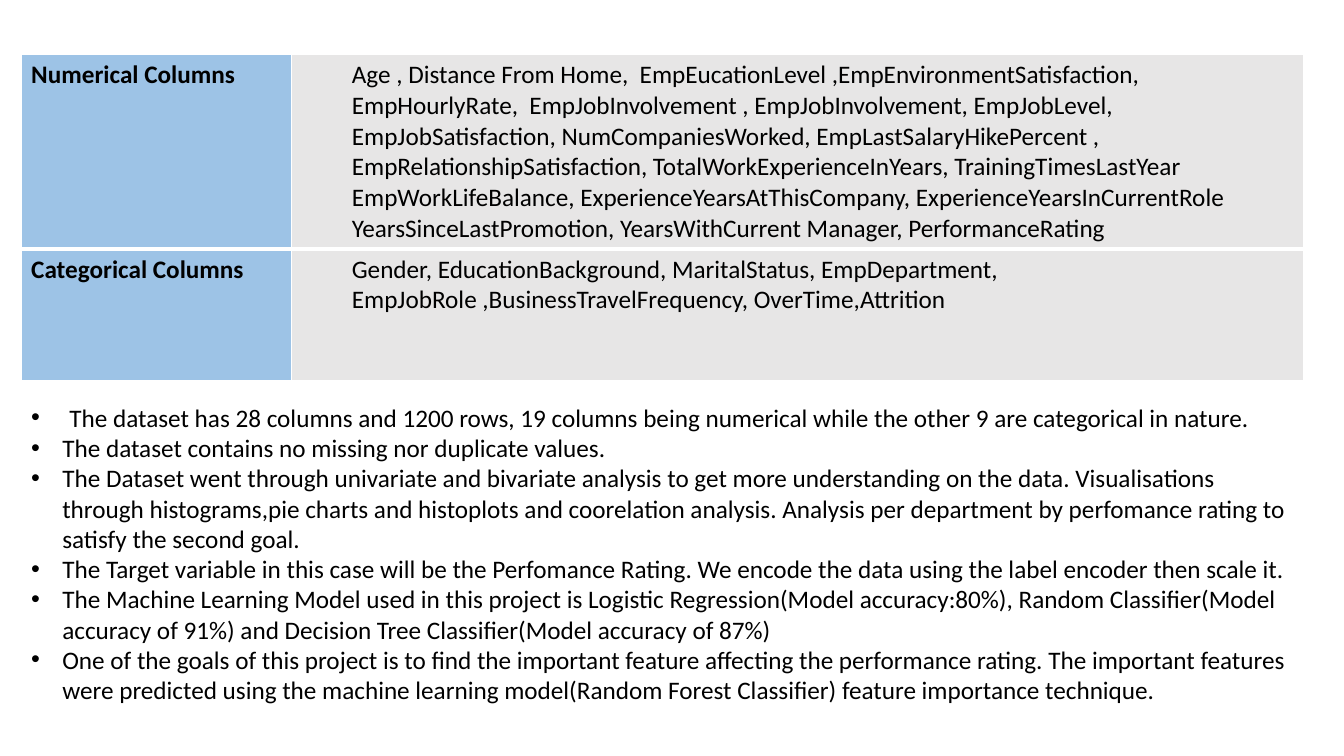
"""Build a slide that lists the dataset columns and summarises the analysis."""
from lxml.etree import SubElement
from pptx import Presentation
from pptx.dml.color import RGBColor
from pptx.oxml.ns import qn
from pptx.util import Inches, Pt

WIDTH, HEIGHT = 13.33, 7.5
LEFT, CONTENT_WIDTH = 0.21, 12.72
COLUMN_WIDTHS = [2.68, 10.04]
ROW_HEIGHTS = [1.9, 1.3]
COLUMN_FILLS = ["9DC3E6", "E7E6E6"]

COLUMN_GROUPS = [
    ("Numerical Columns", [
        "Age , Distance From Home,  EmpEucationLevel ,EmpEnvironmentSatisfaction,",
        "EmpHourlyRate,  EmpJobInvolvement , EmpJobInvolvement, EmpJobLevel,",
        "EmpJobSatisfaction, NumCompaniesWorked, EmpLastSalaryHikePercent , "
        "EmpRelationshipSatisfaction, TotalWorkExperienceInYears, TrainingTimesLastYear",
        "EmpWorkLifeBalance, ExperienceYearsAtThisCompany, ExperienceYearsInCurrentRole",
        "YearsSinceLastPromotion, YearsWithCurrent Manager, PerformanceRating",
    ]),
    ("Categorical Columns", [
        "Gender, EducationBackground, MaritalStatus, EmpDepartment, "
        "EmpJobRole ,BusinessTravelFrequency, OverTime,Attrition",
    ]),
]
FINDINGS = [
    "The dataset has 28 columns and 1200 rows, 19 columns being numerical while "
    "the other 9 are categorical in nature.",
    "The dataset contains no missing nor duplicate values.",
    "The Dataset went through univariate and bivariate analysis to get more "
    "understanding on the data. Visualisations through histograms,pie charts and "
    "histoplots and coorelation analysis. Analysis per department by perfomance "
    "rating to satisfy the second goal.",
    "The Target variable in this case will be the Perfomance Rating. We encode "
    "the data using the label encoder then scale it.",
    "The Machine Learning Model used in this project is Logistic "
    "Regression(Model accuracy:80%), Random Classifier(Model accuracy of 91%) "
    "and Decision Tree Classifier(Model accuracy of 87%)",
    "One of the goals of this project is to find the important feature affecting "
    "the performance rating. The important features were predicted using the "
    "machine learning model(Random Forest Classifier) feature importance technique.",
]


def color(hex_value):
    return RGBColor.from_string(hex_value)


def write(frame, texts, bold=False, level=0, margin=0, hanging=0, bullet=None):
    for index, text in enumerate(texts):
        paragraph = frame.add_paragraph() if index else frame.paragraphs[0]
        paragraph.level = level
        run = paragraph.add_run()
        run.text = text
        run.font.name, run.font.size, run.font.bold = "Calibri", Pt(18), bold
        run.font.color.rgb = color("000000")
        properties = paragraph._p.get_or_add_pPr()
        first_extra = 0.07 if bullet and index == 0 else 0
        properties.set("marL", str(Inches(margin + first_extra)))
        properties.set("indent", str(-Inches(hanging + first_extra)))
        if bullet:
            SubElement(properties, qn("a:buFont"), typeface="Arial")
            SubElement(properties, qn("a:buChar"), char=bullet)


presentation = Presentation()
presentation.slide_width, presentation.slide_height = Inches(WIDTH), Inches(HEIGHT)
slide = presentation.slides.add_slide(presentation.slide_layouts[6])

table = slide.shapes.add_table(
    len(ROW_HEIGHTS), len(COLUMN_WIDTHS), Inches(LEFT), Inches(0.54),
    Inches(CONTENT_WIDTH), Inches(sum(ROW_HEIGHTS))).table
for column, width in zip(table.columns, COLUMN_WIDTHS):
    column.width = Inches(width)
for row, height in zip(table.rows, ROW_HEIGHTS):
    row.height = Inches(height)

for row_index, (heading, names) in enumerate(COLUMN_GROUPS):
    heading_cell, names_cell = table.rows[row_index].cells
    write(heading_cell.text_frame, [heading], bold=True)
    write(names_cell.text_frame, names, level=1, margin=0.5)
    divider_side = "B" if row_index == 0 else "T"
    for cell, fill in zip((heading_cell, names_cell), COLUMN_FILLS):
        for side in "LRTB":
            border = SubElement(cell._tc.get_or_add_tcPr(), qn(f"a:ln{side}"),
                                w=str(Pt(3 if side == divider_side else 1)))
            SubElement(SubElement(border, qn("a:solidFill")), qn("a:srgbClr"), val="FFFFFF")
        cell.fill.solid()
        cell.fill.fore_color.rgb = color(fill)

findings_box = slide.shapes.add_textbox(
    Inches(LEFT), Inches(3.94), Inches(CONTENT_WIDTH), Inches(3.15))
findings_box.text_frame.word_wrap = True
write(findings_box.text_frame, FINDINGS, margin=0.31, hanging=0.31, bullet="•")

presentation.save("out.pptx")
